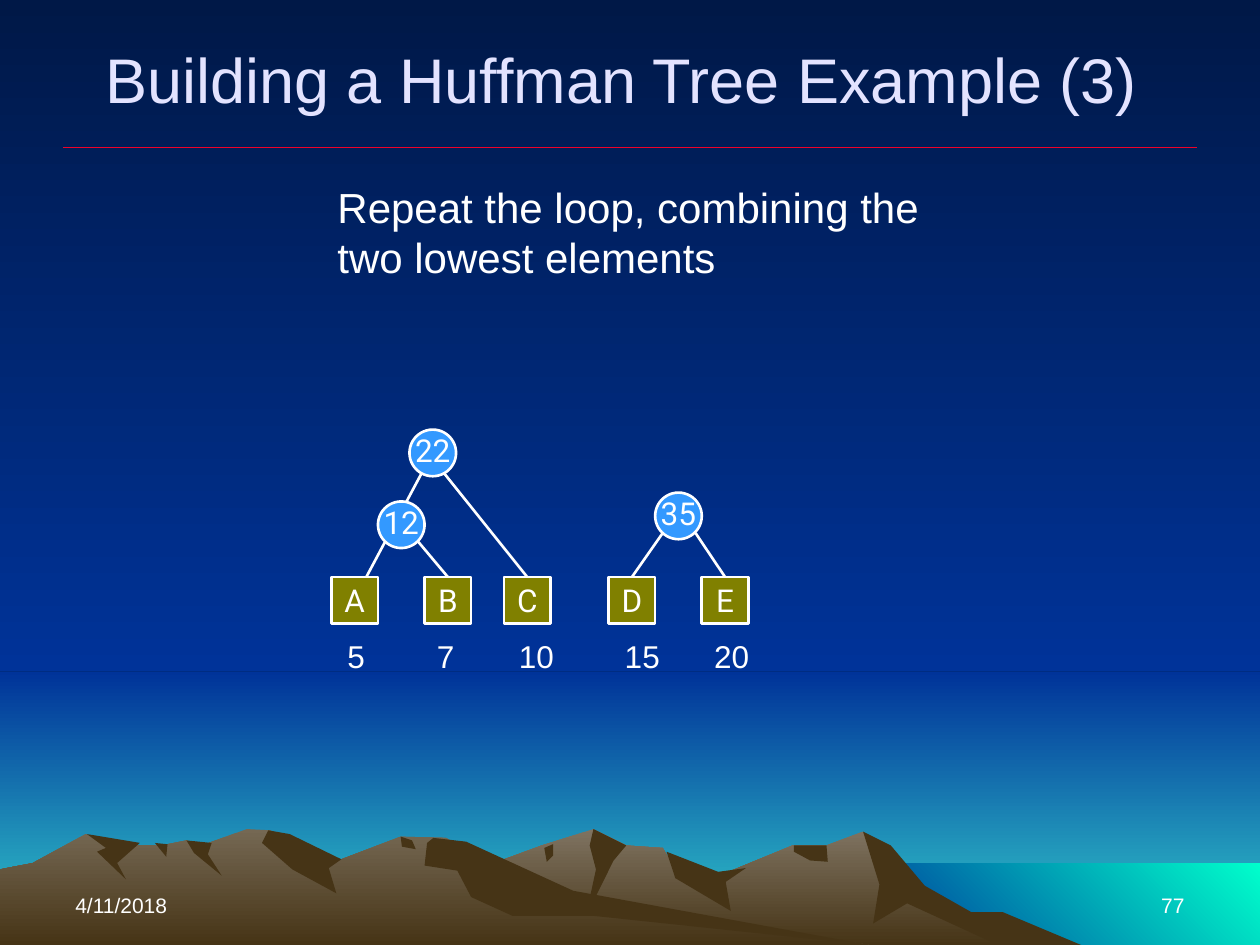
"""Build the slide on the third step of building a Huffman tree."""
import pptx
import pptx.dml.color
import pptx.enum.shapes
import pptx.enum.text
import pptx.oxml.ns
import pptx.util

Inches = pptx.util.Inches
Shape = pptx.enum.shapes.MSO_SHAPE
Anchor = pptx.enum.text.MSO_ANCHOR
Align = pptx.enum.text.PP_ALIGN

WHITE, EARTH = "FFFFFF", "463416"
SKY = ("001847", "003399")
SCENERY = [
    ((0, 0, 10, 5.33), SKY, 270),
    ((0, 5.33, 10, 2.17), ("003399", "33CCCC"), 270),
    ((6.83, 6.85, 3.17, 0.65), ("003399", "00FFCC"), 45),
]
RIDGES = [
    (("7F7361", EARTH), [
        (8.2, 7.5), (7.64, 7.23), (7.23, 6.98), (6.85, 6.6), (6.56, 6.71), (6.29, 6.71),
        (5.66, 6.97), (5.36, 6.9), (5.26, 6.73), (4.97, 6.71), (4.71, 6.58), (4.3, 6.71),
        (3.27, 7.09), (2.58, 7.5)]),
    (EARTH, [
        (6.85, 6.6), (6.98, 7.02), (6.93, 7.33), (7.2, 7.17), (7.92, 7.5), (8.58, 7.5),
        (7.96, 7.24), (7.71, 7.24), (7.34, 7.03), (7.07, 6.71)]),
    (EARTH, [
        (4.71, 6.58), (4.68, 6.71), (4.73, 6.9), (4.65, 7.27), (4.87, 6.83), (4.97, 6.71)]),
    (EARTH, [
        (5.29, 6.76), (5.36, 6.97), (5.8, 7.23), (5.76, 7), (5.92, 6.89), (5.7, 6.92)]),
    (EARTH, [(6.3, 6.71), (6.3, 6.76), (6.43, 6.83), (6.57, 6.84), (6.56, 6.71)]),
    (EARTH, [(4.32, 6.73), (4.39, 6.7), (4.39, 6.79), (4.34, 6.84)]),
    (("756853", EARTH), [
        (6.9, 7.5), (4.32, 7.12), (3.54, 6.65), (3.18, 6.64), (2.71, 6.82), (2.36, 6.81),
        (2.15, 6.59), (1.96, 6.58), (1.6, 6.71), (1.48, 6.67), (1.28, 6.71), (0.94, 6.71),
        (0.68, 6.62), (0.26, 6.85), (0, 6.9), (0, 7.5)]),
    (EARTH, [
        (2.13, 6.59), (2.08, 6.69), (2.32, 6.9), (2.67, 7.09), (2.61, 6.89), (2.71, 6.82),
        (2.3, 6.62)]),
    (EARTH, [
        (3.44, 6.65), (3.39, 6.69), (3.37, 6.87), (3.63, 6.91), (3.74, 7.12), (4.07, 7.27),
        (4.72, 7.27), (6.9, 7.5), (4.55, 7.07), (3.7, 6.68)]),
    (EARTH, [(3.18, 6.64), (3.27, 6.67), (3.3, 6.74), (3.19, 6.72)]),
    (EARTH, [(1.48, 6.67), (1.68, 6.69), (1.65, 6.78), (1.76, 6.95), (1.54, 6.77)]),
    (EARTH, [(1.23, 6.69), (1.33, 6.7), (1.32, 6.8)]),
    (EARTH, [
        (0.69, 6.62), (0.84, 6.73), (0.77, 6.76), (1, 6.98), (0.93, 6.85), (1.11, 6.69)]),
]
TEXTS = [
    ("Building a Huffman Tree Example (3) ", (0.5, 0, 9, 1.25),
     dict(size=36, color="E3E3FF", align=Align.CENTER, anchor=Anchor.MIDDLE)),
    ("4/11/2018", (0.5, 6.83, 2.33, 0.5), dict(size=12, anchor=Anchor.BOTTOM)),
    ("77", (7.17, 6.83, 2.33, 0.5),
     dict(size=12, align=Align.RIGHT, anchor=Anchor.BOTTOM)),
    ("Repeat the loop, combining the two lowest elements", (2.58, 1.39, 5, 0.91),
     dict(size=24)),
]
NODE, LEAF_TOP, COUNT_TOP = 0.37, 4.58, 5.01
LEAVES = [
    ("A", 2.63, "5", 2.66, None),
    ("B", 3.37, "7", 3.37, (3.32, 4.3)),
    ("C", 4, "10", 4.02, (3.44, 3.65)),
    ("D", 4.83, "15", 4.86, (5.4, 4.03)),
    ("E", 5.57, "20", 5.57, (5.52, 4.23)),
]
SUMS = [("12", 3, 3.98), ("22", 3.25, 3.41), ("35", 5.2, 3.91)]


def rgb(code):
    return pptx.dml.color.RGBColor.from_string(code)


def paint(fill, color, angle=270):
    if isinstance(color, str):
        fill.solid()
        fill.fore_color.rgb = rgb(color)
        return
    fill.gradient()
    fill.gradient_angle = angle
    for stop, code in zip(fill.gradient_stops, color):
        stop.color.rgb = rgb(code)


def finish(shape, color, angle=270):
    shape.shadow.inherit = False
    shape.line.fill.background()
    paint(shape.fill, color, angle)


def write(shape, text, size=18, color=WHITE, font="Arial", align=Align.LEFT,
          anchor=Anchor.TOP, wrap=True):
    frame = shape.text_frame
    frame.word_wrap = wrap
    frame.vertical_anchor = anchor
    para = frame.paragraphs[0]
    para.alignment = align
    span = para.add_run()
    span.text = text
    span.font.size = pptx.util.Pt(size)
    span.font.name = font
    span.font.color.rgb = rgb(color)


def add_line(page, start, end, color=WHITE, width=1.5):
    line = page.shapes.add_connector(pptx.enum.shapes.MSO_CONNECTOR.STRAIGHT,
                                     *map(Inches, start + end))
    line.line.color.rgb = rgb(color)
    line.line.width = pptx.util.Pt(width)
    line._element.spPr.append(
        pptx.oxml.parse_xml("<a:effectLst %s/>" % pptx.oxml.ns.nsdecls("a")))
    return line


def add_node(page, kind, text, left, top, color):
    node = page.shapes.add_shape(kind, *map(Inches, (left, top, NODE, NODE)))
    finish(node, color)
    node.line.color.rgb = rgb(WHITE)
    node.line.width = pptx.util.Pt(1.5)
    write(node, text, font="Roboto", align=Align.CENTER, anchor=Anchor.MIDDLE, wrap=False)
    return node


def add_text(page, text, place, **style):
    write(page.shapes.add_textbox(*map(Inches, place)), text, **style)


def add_scenery(page):
    paint(page.background.fill, SKY)
    for place, colors, angle in SCENERY:
        finish(page.shapes.add_shape(Shape.RECTANGLE, *map(Inches, place)), colors, angle)
    for color, points in RIDGES:
        corners = [(Inches(x), Inches(y)) for x, y in points]
        outline = page.shapes.build_freeform(*corners[0])
        outline.add_line_segments(corners[1:], close=True)
        finish(outline.convert_to_shape(), color)


def add_tree(page):
    add_line(page, (2.87, 4.65), (3.36, 3.73))
    for letter, left, count, count_left, end in LEAVES:
        leaf = add_node(page, Shape.RECTANGLE, letter, left, LEAF_TOP, "808000")
        if end:
            add_line(page, (left + NODE / 2, LEAF_TOP), end).begin_connect(leaf, 0)
        width = 0.2 + 0.14 * len(count)
        add_text(page, count, (count_left, COUNT_TOP, width, 0.4), wrap=False)
    for total, left, top in SUMS:
        circle = add_node(page, Shape.OVAL, total, left, top, "3399FF")
        frame = circle.text_frame
        frame.margin_left = frame.margin_right = frame.margin_top = 0
        frame.margin_bottom = Inches(0.05)


def main():
    deck = pptx.Presentation()
    deck.slide_width, deck.slide_height = Inches(10), Inches(7.5)
    page = deck.slides.add_slide(deck.slide_layouts[6])
    add_scenery(page)
    add_line(page, (0.5, 1.17), (9.5, 1.17), color="EF0129", width=0.75)
    for text, place, style in TEXTS:
        add_text(page, text, place, **style)
    add_tree(page)
    deck.save("out.pptx")


if __name__ == "__main__":
    main()
